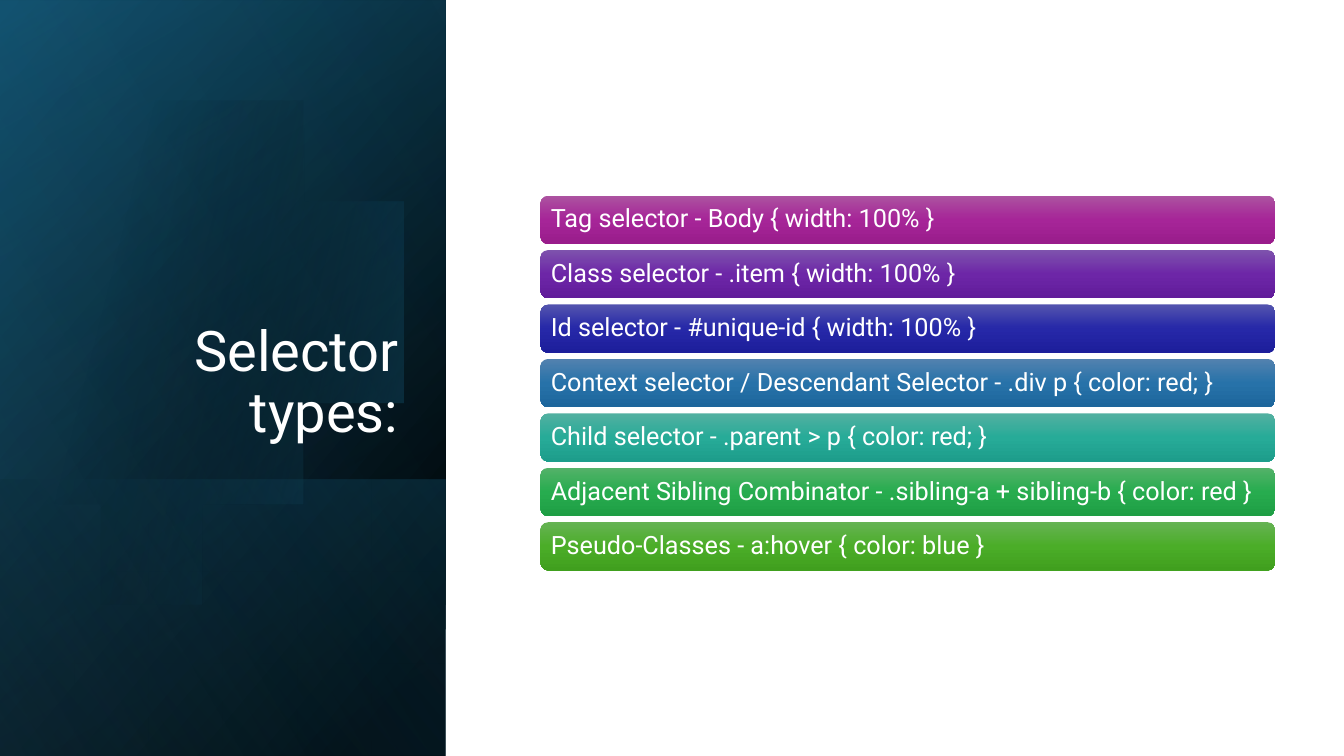
from dataclasses import dataclass
from math import acos, cos, pi, sin

from lxml.etree import SubElement
from pptx import Presentation
from pptx.dml.color import RGBColor
from pptx.enum.shapes import MSO_SHAPE
from pptx.enum.text import MSO_ANCHOR, MSO_AUTO_SIZE, PP_ALIGN
from pptx.oxml.ns import qn
from pptx.shapes.autoshape import Shape
from pptx.slide import Slide
from pptx.util import Inches, Pt


@dataclass(frozen=True)
class Theme:
    font: str = "Roboto"
    text: str = "FFFFFF"
    black: str = "000000"
    navy: str = "104862"
    teal: str = "156082"
    sky: str = "46B1E1"
    title_size: int = 40
    bar_size: int = 18


THEME = Theme()


@dataclass(frozen=True)
class Stop:
    pos: int
    color: str
    alpha: int = 100


@dataclass(frozen=True)
class Panel:
    left: float
    top: float
    width: float
    angle: int
    stops: tuple[Stop, ...]


@dataclass(frozen=True)
class Bar:
    text: str
    colors: tuple[str, str, str]


PANEL_HEIGHT = 4.42
BASE_PANELS = (
    Panel(-1.54, 1.54, 7.5, 50, (Stop(8, THEME.black), Stop(100, THEME.navy))),
    Panel(-1.54, 1.55, 7.5, 30, (Stop(0, THEME.black, 0), Stop(99, THEME.teal, 46))),
    Panel(0.84, 3.92, 2.74, 130, (Stop(2, THEME.teal, 29), Stop(100, THEME.black, 30))),
)
GLOW_PANEL = Panel(-1.54, 1.54, 7.5, 120, (Stop(0, THEME.black, 0), Stop(99, THEME.sky, 11)))

DISC_X, DISC_Y, DISC_RADIUS, DISC_CUT = 1.43, 3.39, 2.28, -0.15
DISC_STEPS = 120

BAR_LEFT, BAR_TOP, BAR_WIDTH, BAR_HEIGHT, BAR_PITCH = 5.36, 1.94, 7.29, 0.48, 0.54
BARS = (
    Bar("Tag selector - Body { width: 100% }", ("AC53A0", "A62598", "991C8B")),
    Bar("Class selector - .item { width: 100% }", ("7E53AD", "6D26A7", "611C9A")),
    Bar("Id selector - #unique-id { width: 100% }", ("5354AE", "2628A8", "1D1E9B")),
    Bar("Context selector / Descendant Selector - .div p { color: red; }",
        ("5382AF", "2772A9", "1D669C")),
    Bar("Child selector - .parent > p { color: red; }", ("53B0A1", "27AB98", "1D9D8B")),
    Bar("Adjacent Sibling Combinator - .sibling-a + sibling-b { color: red }",
        ("54B269", "27AC4F", "1E9E44")),
    Bar("Pseudo-Classes - a:hover { color: blue }", ("66B354", "4BAD28", "409F1E")),
)


def paint(sp: Shape, stops: tuple[Stop, ...], angle: int) -> None:
    sp.shadow.inherit = False
    sp.line.fill.background()
    sp.fill.background()
    no_fill = sp._element.spPr.find(qn("a:noFill"))
    grad = SubElement(sp._element.spPr, qn("a:gradFill"), rotWithShape="1")
    stop_list = SubElement(grad, qn("a:gsLst"))
    for stop in stops:
        gs = SubElement(stop_list, qn("a:gs"), pos=str(stop.pos * 1000))
        color = SubElement(gs, qn("a:srgbClr"), val=stop.color)
        if stop.alpha < 100:
            SubElement(color, qn("a:alpha"), val=str(stop.alpha * 1000))
    SubElement(grad, qn("a:lin"), ang=str(angle * 60000), scaled="0")
    sp._element.spPr.replace(no_fill, grad)


def write(sp: Shape, text: str, *, size: int, align: PP_ALIGN,
          anchor: MSO_ANCHOR, inset: float = 0.1) -> None:
    tf = sp.text_frame
    tf.word_wrap = True
    tf.auto_size = MSO_AUTO_SIZE.NONE
    tf.vertical_anchor = anchor
    tf.margin_left = tf.margin_right = Inches(inset)
    tf.margin_top = tf.margin_bottom = Inches(0.05)
    p = tf.paragraphs[0]
    p.alignment = align
    p.line_spacing = 0.9
    p.space_before = Pt(0)
    r = p.add_run()
    r.text = text
    r.font.name = THEME.font
    r.font.size = Pt(size)
    r.font.color.rgb = RGBColor.from_string(THEME.text)


def add_panel(s: Slide, panel: Panel) -> None:
    sp = s.shapes.add_shape(MSO_SHAPE.RECTANGLE, Inches(panel.left), Inches(panel.top),
                            Inches(panel.width), Inches(PANEL_HEIGHT))
    sp.rotation = 90
    sp._element.spPr.xfrm.set("flipH", "1")
    paint(sp, panel.stops, panel.angle)


def add_disc(s: Slide) -> None:
    end = pi - acos((DISC_X - DISC_CUT) / DISC_RADIUS)
    angles = [-end + 2 * end * i / DISC_STEPS for i in range(DISC_STEPS + 1)]
    points = [(DISC_X + DISC_RADIUS * cos(a), DISC_Y + DISC_RADIUS * sin(a)) for a in angles]
    builder = s.shapes.build_freeform(*points[0], scale=Inches(1))
    builder.add_line_segments(points[1:], close=True)
    paint(builder.convert_to_shape(), (Stop(29, THEME.black, 0), Stop(100, THEME.teal, 43)), 14)


def add_title(s: Slide, text: str) -> None:
    sp = s.shapes.title
    sp.left, sp.top, sp.width, sp.height = map(Inches, (0.64, 1.84, 3.41, 2.62))
    s.shapes._spTree.append(sp._element)
    write(sp, text, size=THEME.title_size, align=PP_ALIGN.RIGHT, anchor=MSO_ANCHOR.BOTTOM)


def add_bar(s: Slide, bar: Bar, top: float) -> None:
    sp = s.shapes.add_shape(MSO_SHAPE.ROUNDED_RECTANGLE, Inches(BAR_LEFT), Inches(top),
                            Inches(BAR_WIDTH), Inches(BAR_HEIGHT))
    paint(sp, tuple(Stop(50 * i, color) for i, color in enumerate(bar.colors)), 90)
    write(sp, bar.text, size=THEME.bar_size, align=PP_ALIGN.LEFT,
          anchor=MSO_ANCHOR.MIDDLE, inset=0.08)


def main() -> None:
    prs = Presentation()
    prs.slide_width, prs.slide_height = Inches(13.33), Inches(7.5)
    s = prs.slides.add_slide(prs.slide_layouts.get_by_name("Title Only"))
    for panel in BASE_PANELS:
        add_panel(s, panel)
    add_disc(s)
    add_panel(s, GLOW_PANEL)
    add_title(s, "Selector types:")
    for i, bar in enumerate(BARS):
        add_bar(s, bar, BAR_TOP + i * BAR_PITCH)
    prs.save("out.pptx")


if __name__ == "__main__":
    main()
